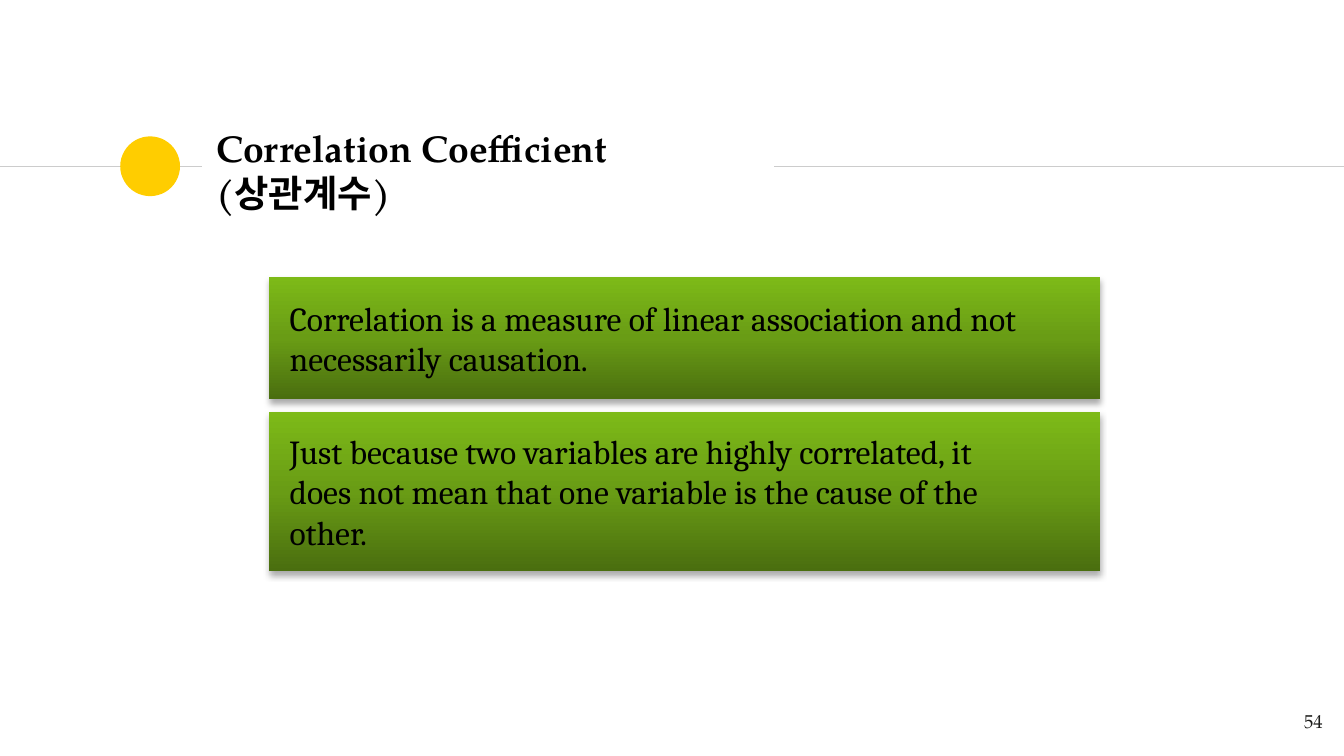
from copy import deepcopy

from lxml import etree
from pptx import Presentation
from pptx.dml.color import RGBColor
from pptx.enum.shapes import MSO_CONNECTOR, MSO_SHAPE
from pptx.enum.text import MSO_ANCHOR, PP_ALIGN
from pptx.oxml.ns import qn
from pptx.util import Emu, Pt

PX = 4572
BLACK = RGBColor(0x00, 0x00, 0x00)
INK = RGBColor(0x1D, 0x1D, 0x1B)
GRAY = RGBColor(0xCC, 0xCC, 0xCC)
YELLOW = RGBColor(0xFF, 0xCD, 0x00)
GREENS = [
    RGBColor(0x4A, 0x6E, 0x0F),
    RGBColor(0x69, 0x9C, 0x15),
    RGBColor(0x7D, 0xBA, 0x18),
]
SERIF = "TeX Gyre Pagella"
BODY = "Cambria"
STRAIGHT = MSO_CONNECTOR.STRAIGHT
OVAL, RECT = MSO_SHAPE.OVAL, MSO_SHAPE.RECTANGLE
TOP, MIDDLE = MSO_ANCHOR.TOP, MSO_ANCHOR.MIDDLE
LEFT, RIGHT = PP_ALIGN.LEFT, PP_ALIGN.RIGHT


def px(*values):
    return [Emu(v * PX) for v in values]


def write(sp, lines, size, font, color=BLACK, bold=False, align=LEFT,
          anchor=MIDDLE, insets=(20, 20, 20, 20)):
    tf = sp.text_frame
    tf.word_wrap = True
    tf.vertical_anchor = anchor
    (tf.margin_left, tf.margin_top,
     tf.margin_right, tf.margin_bottom) = px(*insets)
    for i, line in enumerate(lines):
        p = tf.paragraphs[0] if i == 0 else tf.add_paragraph()
        p.alignment = align
        r = p.add_run()
        r.text = line
        r.font.size = Pt(size)
        r.font.name = font
        r.font.bold = bold
        r.font.color.rgb = color


def add_text(s, box, text, **fmt):
    write(s.shapes.add_textbox(*px(*box)), [text], **fmt)


def add_rule(s, x1, x2, y):
    line = s.shapes.add_connector(STRAIGHT, *px(x1, y, x2, y))
    line.line.color.rgb = GRAY
    line.line.width = Pt(0.75)
    etree.SubElement(line._element.spPr, qn("a:effectLst"))


def add_shape(s, kind, box):
    sp = s.shapes.add_shape(kind, *px(*box))
    sp.shadow.inherit = False
    sp.line.fill.background()
    return sp


def add_dot(s, box):
    sp = add_shape(s, OVAL, box)
    sp.fill.solid()
    sp.fill.fore_color.rgb = YELLOW


def fill_gradient(sp):
    sp.fill.gradient()
    sp.fill.gradient_angle = 90
    gs_list = sp._element.spPr.find(".//" + qn("a:gsLst"))
    gs_list.insert(1, deepcopy(gs_list[0]))
    for i, (stop, color) in enumerate(zip(sp.fill.gradient_stops, GREENS)):
        stop.position = i / 2
        stop.color.rgb = color


def drop_shadow(sp):
    effects = sp._element.spPr.find(qn("a:effectLst"))
    shadow = etree.SubElement(
        effects, qn("a:outerShdw"), blurRad=str(Pt(3.5)),
        dist=str(Pt(2.2)), dir="5400000", rotWithShape="0")
    color = etree.SubElement(shadow, qn("a:srgbClr"), val=str(BLACK))
    etree.SubElement(color, qn("a:alpha"), val="32000")


def add_panel(s, top, height, lines):
    sp = add_shape(s, RECT, (400, top, 1237, height))
    fill_gradient(sp)
    drop_shadow(sp)
    write(sp, lines, size=18, font=BODY, insets=(31, 10, 20, 10))


def main():
    prs = Presentation()
    prs.slide_width, prs.slide_height = px(2000, 1125)
    s = prs.slides.add_slide(prs.slide_layouts[6])

    add_rule(s, 0, 300, 248)
    add_dot(s, (179, 203, 89, 89))
    add_rule(s, 1152, 2000, 248)

    add_panel(s, 613, 237, [
        "Just because two variables are highly correlated, it",
        "does not mean that one variable is the cause of the",
        "other.",
    ])
    add_panel(s, 412, 182, [
        "Correlation is a measure of linear association and not",
        "necessarily causation.",
    ])

    add_text(s, (302, 205, 848, 96), "Correlation Coefficient (상관계수)",
             size=20, font=SERIF, bold=True)
    add_text(s, (1868, 1040, 120, 85), "54", size=10, font=SERIF, color=INK,
             align=RIGHT, anchor=TOP)

    prs.save("out.pptx")


if __name__ == "__main__":
    main()
